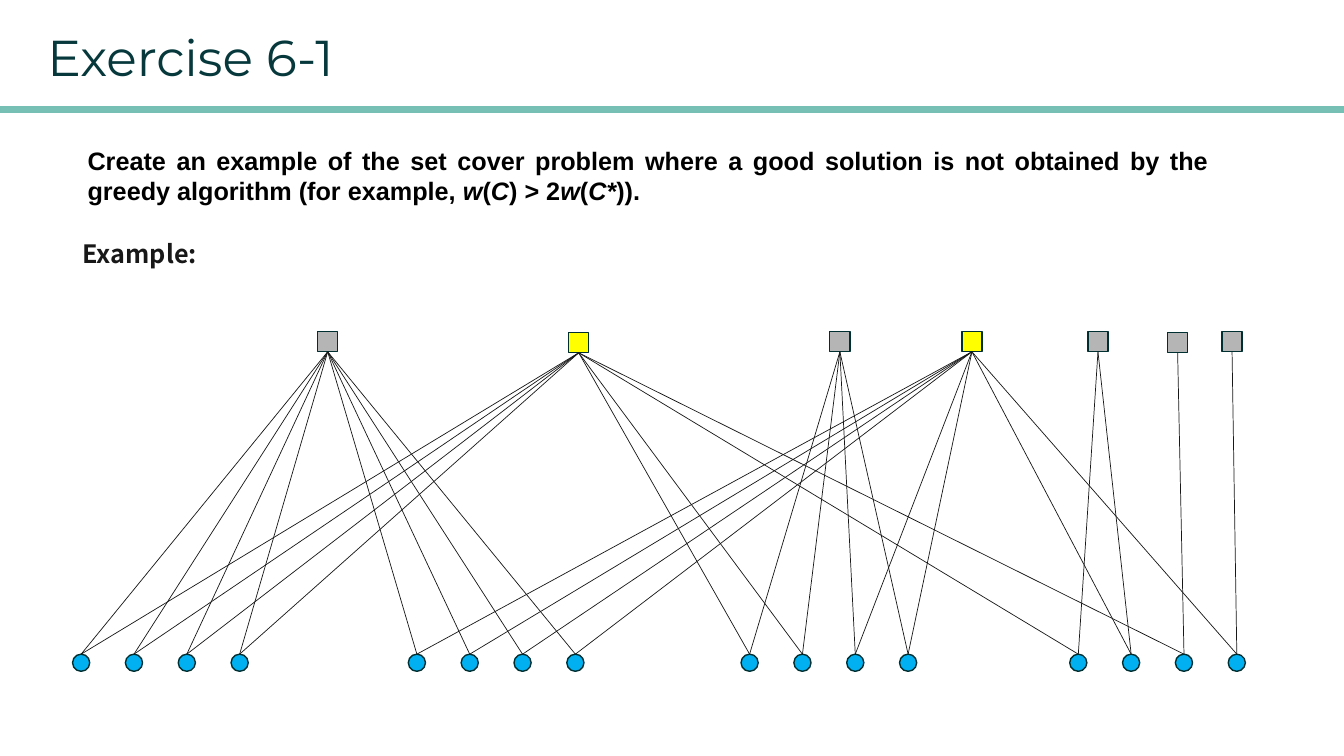
from lxml.etree import SubElement
from pptx import Presentation
from pptx.dml.color import RGBColor
from pptx.enum.shapes import MSO_CONNECTOR, MSO_SHAPE
from pptx.enum.text import MSO_ANCHOR, PP_ALIGN
from pptx.oxml.ns import qn
from pptx.util import Inches, Pt


def color(hex_value):
    return RGBColor.from_string(hex_value)


def add_figure(preset, left, top, width, height, fill, outline):
    figure = slide.shapes.add_shape(
        preset, Inches(left), Inches(top), Inches(width), Inches(height))
    figure.shadow.inherit = False
    figure.fill.solid()
    figure.fill.fore_color.rgb = color(fill)
    figure.line.color.rgb = color(outline)
    figure.line.width = Pt(1)
    return figure


deck = Presentation()
deck.slide_width, deck.slide_height = Inches(13.33), Inches(7.5)
slide = deck.slides.add_slide(deck.slide_layouts[5])

add_figure(MSO_SHAPE.RECTANGLE, 0, 1.06, 13.33, 0.05, "77C0B5", "76BFB4")

heading = slide.shapes.title
task = slide.shapes.add_textbox(0, 0, 0, 0)
example_label = slide.shapes.add_textbox(0, 0, 0, 0)

task_runs = [
    ("Create an example of the set cover problem where a good solution is not "
     "obtained by the greedy algorithm (for example, ", False),
    ("w", True), ("(", False), ("C", True), (") > 2", False),
    ("w", True), ("(", False), ("C*", True), (")).", False),
]
passages = [
    (heading, (0.37, 0.21, 5.67, 0.71), [("Exercise 6-1", False)], PP_ALIGN.LEFT,
     {"name": "Montserrat", "size": Pt(36), "bold": False}, "06383C"),
    (task, (0.77, 1.39, 11.32, 0.71), task_runs, PP_ALIGN.JUSTIFY,
     {"name": "Arial", "size": Pt(18), "bold": True}, "000000"),
    (example_label, (0.72, 2.32, 1.89, 0.4), [("Example:", False)], PP_ALIGN.LEFT,
     {"name": "Noto Sans CJK SC", "size": Pt(18), "bold": True}, "181818"),
]
for passage, bounds, runs, alignment, font_format, ink in passages:
    for side, length in zip(("left", "top", "width", "height"), bounds):
        setattr(passage, side, Inches(length))
    passage.text_frame.word_wrap = True
    passage.text_frame.vertical_anchor = MSO_ANCHOR.TOP
    paragraph = passage.text_frame.paragraphs[0]
    paragraph.alignment = alignment
    for words, italic in runs:
        run = paragraph.add_run()
        run.text = words
        for attribute, value in font_format.items():
            setattr(run.font, attribute, value)
        run.font.italic = italic
        run.font.color.rgb = color(ink)

elements = []
for group_left in (0.72, 4.05, 7.35, 10.61):
    for position in range(4):
        elements.append(add_figure(
            MSO_SHAPE.OVAL, group_left + position * 0.524, 6.49, 0.17, 0.17,
            "00B0F0", "002F32"))

greedy, optimal = "B5B5B5", "FFFF00"
cover_sets = [
    (3.15, 3.29, greedy, range(8)),
    (8.23, 3.29, greedy, range(8, 12)),
    (10.79, 3.29, greedy, (12, 13)),
    (11.58, 3.3, greedy, (14,)),
    (12.12, 3.29, greedy, (15,)),
    (5.64, 3.3, optimal, (0, 1, 2, 3, 8, 9, 12, 14)),
    (9.54, 3.29, optimal, (4, 5, 6, 7, 10, 11, 13, 15)),
]
for left, top, fill, members in cover_sets:
    cover_set = add_figure(MSO_SHAPE.RECTANGLE, left, top, 0.2, 0.2, fill, "002F32")
    for member in members:
        membership = slide.shapes.add_connector(MSO_CONNECTOR.STRAIGHT, 0, 0, 0, 0)
        membership.begin_connect(cover_set, 2)
        membership.end_connect(elements[member], 0)
        membership.line.color.rgb = color("181818")
        membership.line.width = Pt(0.5)
        SubElement(membership._element.spPr, qn("a:effectLst"))

deck.save("out.pptx")
